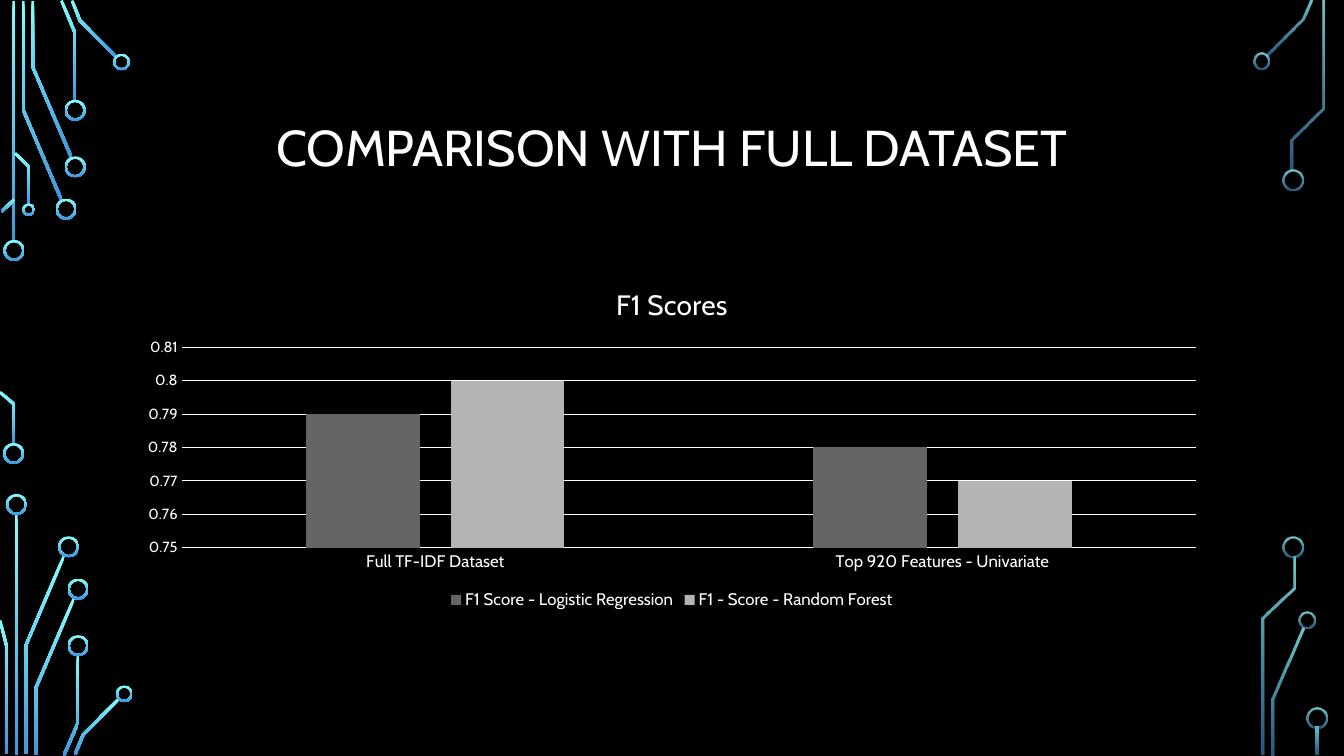
from dataclasses import dataclass
from math import hypot

from lxml import etree
from pptx import Presentation
from pptx.chart.data import CategoryChartData
from pptx.dml.color import RGBColor
from pptx.enum.chart import XL_CHART_TYPE, XL_LEGEND_POSITION, XL_TICK_MARK
from pptx.enum.shapes import MSO_SHAPE
from pptx.enum.text import MSO_ANCHOR, PP_ALIGN
from pptx.oxml.ns import qn
from pptx.util import Pt

COLUMNS = XL_CHART_TYPE.COLUMN_CLUSTERED
LEGEND_BOTTOM = XL_LEGEND_POSITION.BOTTOM
NO_TICK = XL_TICK_MARK.NONE
DONUT, RECTANGLE = MSO_SHAPE.DONUT, MSO_SHAPE.RECTANGLE
MIDDLE, CENTER = MSO_ANCHOR.MIDDLE, PP_ALIGN.CENTER

FONT = "Cabin"
WHITE, BLACK = "FFFFFF", "000000"
GLOW = ("82FFFF", "3D97DE")
FADED_ALPHA = (80, 60)
PAGE_WIDTH, PAGE_HEIGHT = 960, 540
TRACE_WIDTH = 2
RING_THICKNESS = 1.5
LEFT, WIDTH = 90, 780


@dataclass
class Bar:
    left: float
    top: float
    height: float


@dataclass
class Trace:
    points: list[tuple[float, float]]


@dataclass
class Ring:
    x: float
    y: float
    diameter: float = 15


@dataclass
class Series:
    name: str
    values: tuple[float, float]
    color: str


BARS = [Bar(8.8, 0.7, 172), Bar(10.6, 367.2, 172), Bar(940, 519, 20.2)]
TRACES = [
    Trace([(16.6, 0.7), (16.6, 78.5), (43.9, 142.9)]),
    Trace([(23.4, 0.7), (23.4, 47.9), (51.1, 112.7)]),
    Trace([(43.9, 0.4), (53.7, 23.8), (53.7, 72)]),
    Trace([(51.5, 0.4), (57.2, 14.8), (83.2, 41)]),
    Trace([(1.1, 151.2), (10.1, 142.6)]),
    Trace([(0, 280.1), (10, 288.7), (10, 317.5)]),
    Trace([(10.8, 109.4), (20.7, 119.2), (20.7, 146.2)]),
    Trace([(18.4, 538.6), (18.4, 461.2), (45.7, 397.1)]),
    Trace([(0, 443.2), (4.7, 461.5), (4.7, 538.6)]),
    Trace([(25.6, 539.3), (25.6, 491.4), (52.9, 427.3)]),
    Trace([(45.7, 539.6), (55.8, 516.2), (55.8, 468)]),
    Trace([(53.6, 538.9), (59.4, 524.9), (85, 499)]),
    Trace([(905, 40), (930.6, 14), (936.4, 0.4)]),
    Trace([(909, 539.3), (909, 499.3), (931, 448.9)]),
    Trace([(923, 121.7), (923, 99.7), (945, 77.4), (945, 0.7)]),
    Trace([(901.8, 539.3), (901.8, 441.7), (924.1, 420.1), (924.1, 397.4)]),
]
RINGS = [
    Ring(10, 178.9), Ring(9.7, 324), Ring(47.2, 149.4), Ring(53.7, 119.2),
    Ring(53.7, 78.8), Ring(86.8, 44.3, 12), Ring(20.5, 149.8, 9),
    Ring(11.8, 360.4), Ring(49, 390.6), Ring(55.8, 420.8), Ring(55.8, 461.2),
    Ring(88.8, 495.6, 12), Ring(901.1, 43.6, 12), Ring(923.4, 128.5),
    Ring(933.4, 443.2, 12), Ring(923.8, 390.6), Ring(940.7, 512.6),
]
CATEGORIES = ("Full TF-IDF Dataset", "Top 920 Features - Univariate")
SERIES = [
    Series("F1 Score - Logistic Regression", (0.79, 0.78), "656565"),
    Series("F1 - Score - Random Forest", (0.8, 0.77), "B4B4B4"),
]


def rgb(color: str) -> RGBColor:
    return RGBColor.from_string(color)


def style_font(font, size: float) -> None:
    font.name = FONT
    font.size = Pt(size)
    font.bold = False
    font.color.rgb = rgb(WHITE)


def style_circuit(shape) -> None:
    shape.shadow.inherit = False
    shape.line.fill.background()
    shape.fill.gradient()
    shape.fill.gradient_angle = 270
    faded = shape.left > Pt(PAGE_WIDTH / 2)
    for position, stop in enumerate(shape.fill.gradient_stops):
        stop.position = position
        stop.color.rgb = rgb(GLOW[position])
    if faded:
        for color, alpha in zip(shape._element.spPr.iter(qn("a:srgbClr")), FADED_ALPHA):
            etree.SubElement(color, qn("a:alpha")).set("val", str(alpha * 1000))


def side_of(points: list[tuple[float, float]]) -> list[tuple[float, float]]:
    normals = []
    for (x1, y1), (x2, y2) in zip(points, points[1:]):
        length = hypot(x2 - x1, y2 - y1)
        normals.append(((y1 - y2) / length, (x2 - x1) / length))
    side = []
    for (x, y), (ax, ay), (bx, by) in zip(points, normals[:1] + normals, normals + normals[-1:]):
        reach = TRACE_WIDTH / 2 / (1 + ax * bx + ay * by)
        side.append((x + (ax + bx) * reach, y + (ay + by) * reach))
    return side


def draw_bar(page, bar: Bar) -> None:
    style_circuit(page.shapes.add_shape(
        RECTANGLE, Pt(bar.left), Pt(bar.top), Pt(TRACE_WIDTH), Pt(bar.height)))


def draw_trace(page, trace: Trace) -> None:
    outline = side_of(trace.points) + side_of(trace.points[::-1])
    corners = [(Pt(x), Pt(y)) for x, y in outline]
    builder = page.shapes.build_freeform(*corners[0])
    builder.add_line_segments(corners[1:], close=True)
    style_circuit(builder.convert_to_shape())


def draw_ring(page, ring: Ring) -> None:
    size = Pt(ring.diameter)
    shape = page.shapes.add_shape(
        DONUT, Pt(ring.x) - size // 2, Pt(ring.y) - size // 2, size, size)
    shape.adjustments[0] = RING_THICKNESS / ring.diameter
    style_circuit(shape)


def draw_title(page) -> None:
    box = page.shapes.add_textbox(Pt(LEFT), Pt(49), Pt(WIDTH), Pt(116.6))
    frame = box.text_frame
    frame.word_wrap = True
    frame.vertical_anchor = MIDDLE
    frame.text = "COMPARISON WITH FULL DATASET"
    para = frame.paragraphs[0]
    para.alignment = CENTER
    para.line_spacing = 0.9
    style_font(para.runs[0].font, 36)


def draw_chart(page) -> None:
    data = CategoryChartData()
    data.categories = CATEGORIES
    for series in SERIES:
        data.add_series(series.name, series.values)
    chart = page.shapes.add_chart(
        COLUMNS, Pt(LEFT), Pt(190.8), Pt(WIDTH), Pt(247.7), data).chart
    style_font(chart.font, 10)
    chart.has_title = True
    chart.chart_title.text_frame.text = "F1 Scores"
    style_font(chart.chart_title.text_frame.paragraphs[0].runs[0].font, 20)
    chart.has_legend = True
    chart.legend.position = LEGEND_BOTTOM
    chart.legend.include_in_layout = False
    style_font(chart.legend.font, 12)

    plot = chart.plots[0]
    plot.gap_width = 219
    plot.overlap = -27
    plot.vary_by_categories = False
    for drawn, series in zip(plot.series, SERIES):
        drawn.format.fill.solid()
        drawn.format.fill.fore_color.rgb = rgb(series.color)

    category_axis, value_axis = chart.category_axis, chart.value_axis
    for axis, size in ((category_axis, 12), (value_axis, 10.5)):
        axis.major_tick_mark = axis.minor_tick_mark = NO_TICK
        style_font(axis.tick_labels.font, size)
    value_axis.minimum_scale, value_axis.maximum_scale = 0.75, 0.81
    value_axis.major_unit = 0.01
    value_axis.format.line.fill.background()
    for line in (category_axis.format.line, value_axis.major_gridlines.format.line):
        line.color.rgb = rgb(WHITE)
        line.width = Pt(0.75)


def main() -> None:
    deck = Presentation()
    deck.slide_width, deck.slide_height = Pt(PAGE_WIDTH), Pt(PAGE_HEIGHT)
    page = deck.slides.add_slide(deck.slide_layouts[6])
    page.background.fill.solid()
    page.background.fill.fore_color.rgb = rgb(BLACK)
    for draw, items in ((draw_bar, BARS), (draw_trace, TRACES), (draw_ring, RINGS)):
        for item in items:
            draw(page, item)
    draw_title(page)
    draw_chart(page)
    deck.save("out.pptx")


if __name__ == "__main__":
    main()
